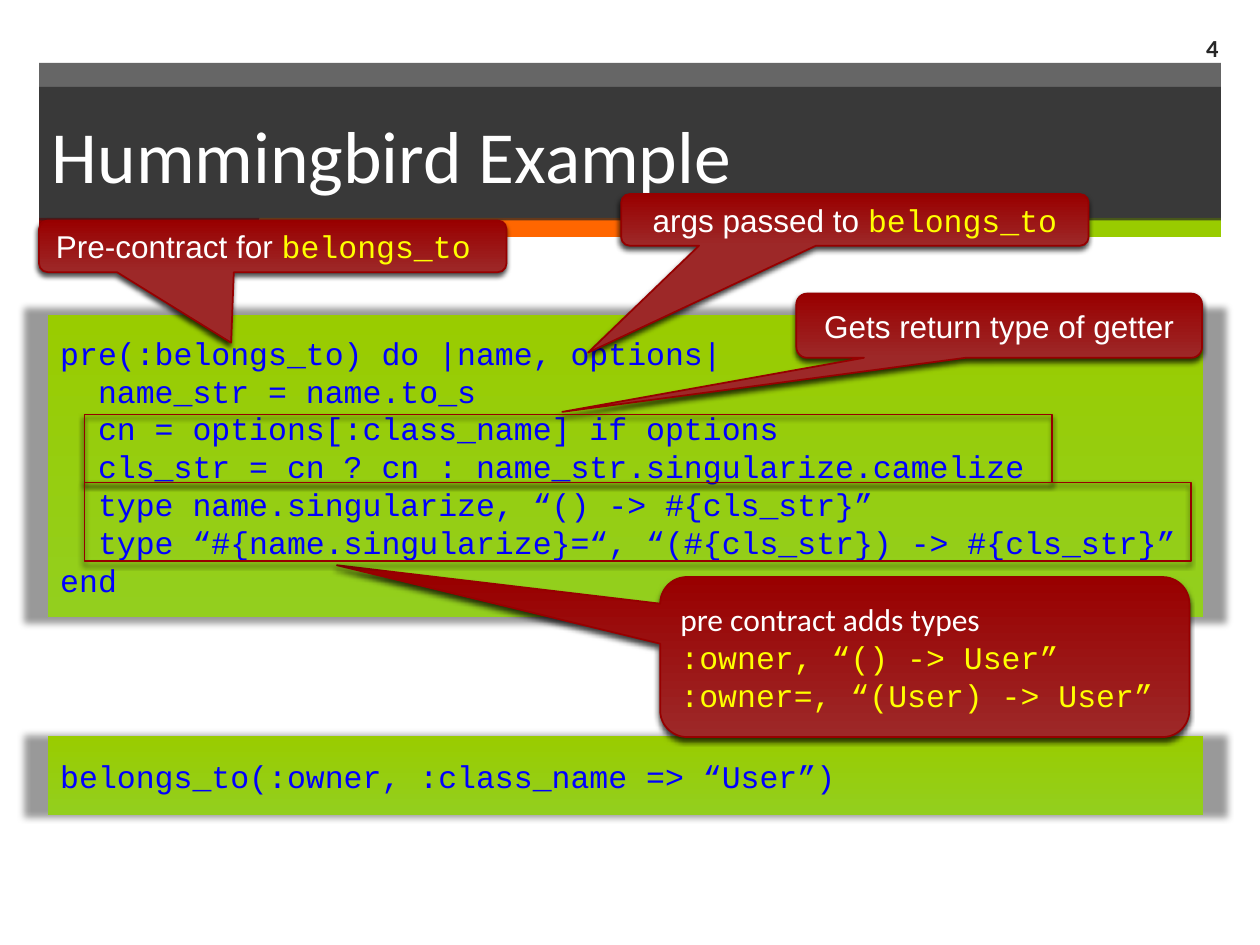
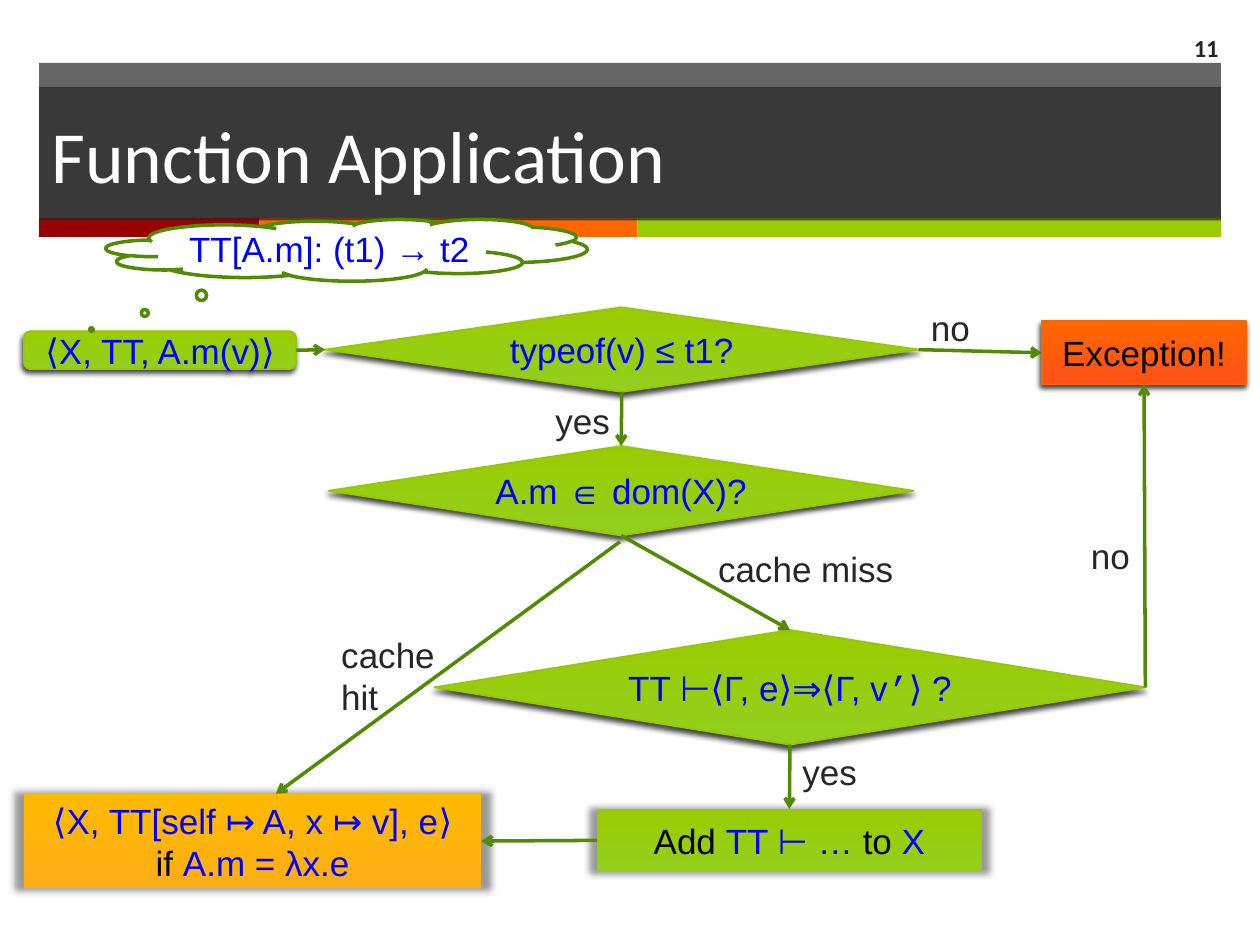
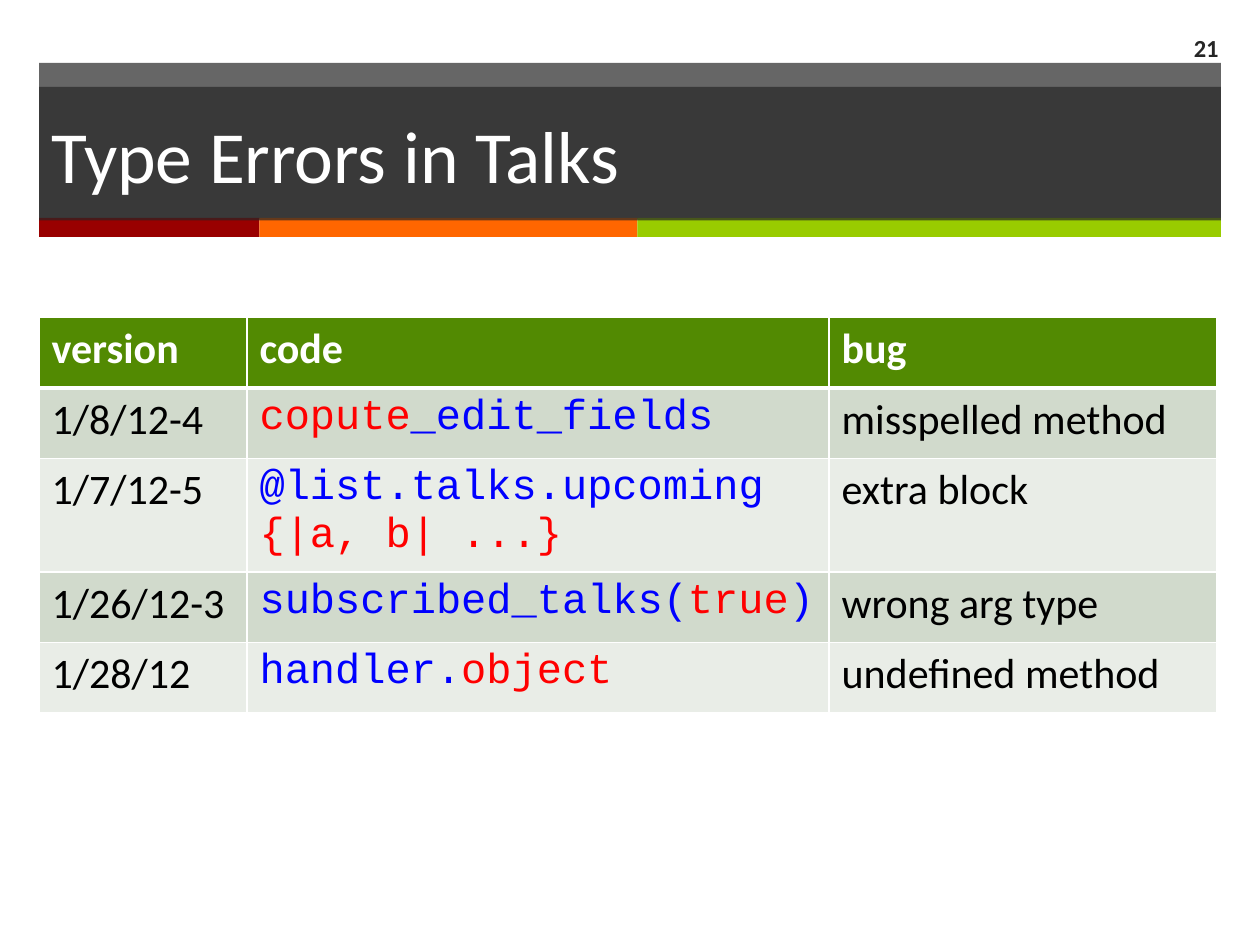
from lxml.etree import SubElement
from pptx import Presentation
from pptx.dml.color import RGBColor
from pptx.enum.shapes import MSO_CONNECTOR as Link, MSO_SHAPE as Shape
from pptx.enum.text import MSO_ANCHOR as Anchor, PP_ALIGN as Align
from pptx.oxml import parse_xml
from pptx.oxml.ns import nsdecls, qn
from pptx.util import Emu, Inches, Pt

WHITE = RGBColor(0xFF, 0xFF, 0xFF)
BLACK = RGBColor(0, 0, 0)
CHARCOAL = RGBColor(0x26, 0x26, 0x26)
BLUE = RGBColor(0, 0, 0xFF)
RED = RGBColor(0xFF, 0, 0)
YELLOW = RGBColor(0xFF, 0xFF, 0)
CRIMSON = RGBColor(0x99, 0, 0)
ORANGE = RGBColor(0xFF, 0x66, 0)
LIME = RGBColor(0x99, 0xCC, 0)
FOREST = RGBColor(0x52, 0x8A, 0x02)
CRIMSON_EDGE = RGBColor(0x96, 0, 0)
ORANGE_EDGE = RGBColor(0xF9, 0x64, 0)
LIME_EDGE = RGBColor(0x96, 0xC8, 0)
ROW_FILLS = (RGBColor(0xD1, 0xDA, 0xCC), RGBColor(0xE9, 0xED, 0xE7))

GREEN_FADE = (RGBColor(0x93, 0xCF, 0x1E), LIME)
RED_FADE = (RGBColor(0x9D, 0x28, 0x28), CRIMSON)
ORANGE_FADE = (RGBColor(0xFF, 0x52, 0x17), ORANGE)
AMBER_FADE = (RGBColor(0xFF, 0xAE, 0x17), RGBColor(0xFF, 0xBA, 0))

SANS, BODY, CODE = "Arial", "Calibri", "Courier New"
HALO = dict(alpha=40, blur=4, dist=0, angle=90, scale=104)
DROP = dict(alpha=75, blur=3, dist=2, angle=110, scale=100)
TOP, LEFT, BOTTOM, RIGHT = range(4)
CODE_INDENT = Inches(0.3)


def box(*lengths):
    """Turn inch values into lengths."""
    return [Inches(value) for value in lengths]


def write(frame, paragraphs, size, align=Align.LEFT, bold=False, before=None):
    """Fill a text frame with paragraphs of (text, font, colour) runs."""
    frame.word_wrap = True
    for index, runs in enumerate(paragraphs):
        paragraph = frame.add_paragraph() if index else frame.paragraphs[0]
        paragraph.alignment = align
        if before:
            paragraph.space_before = Pt(before)
        for text, font, colour in runs:
            run = paragraph.add_run()
            run.text = text
            run.font.name = font
            run.font.size = Pt(size)
            run.font.bold = bold
            run.font.color.rgb = colour


def cast_shadow(shape, alpha, blur, dist, angle, scale):
    """Give a shape a black outer shadow."""
    effects = shape.element.spPr.find(qn("a:effectLst"))
    shadow = SubElement(effects, qn("a:outerShdw"), blurRad=str(Pt(blur)), dist=str(Pt(dist)),
                        dir=str(angle * 60000), sx=str(scale * 1000), sy=str(scale * 1000),
                        algn="ctr", rotWithShape="0")
    black = SubElement(shadow, qn("a:srgbClr"), val="000000")
    SubElement(black, qn("a:alpha"), val=str(alpha * 1000))


def paint(shape, colour, opacity=100):
    """Fill a shape with one colour."""
    shape.fill.solid()
    shape.fill.fore_color.rgb = colour
    if opacity < 100:
        tint = shape.element.spPr.find(qn("a:solidFill")).find(qn("a:srgbClr"))
        SubElement(tint, qn("a:alpha"), val=str(opacity * 1000))


def add_block(slide, kind, at, fade=None, edge=None, shadow=None, edge_width=1, adjust=()):
    """Draw a preset shape with an optional fade, edge and shadow."""
    shape = slide.shapes.add_shape(kind, *box(*at))
    for index, value in enumerate(adjust):
        shape.adjustments[index] = value
    if fade:
        shape.fill.gradient()
        shape.fill.gradient_angle = 90
        for stop, colour in zip(shape.fill.gradient_stops, fade):
            stop.color.rgb = colour
    else:
        shape.fill.background()
    if edge is None:
        shape.line.fill.background()
    else:
        shape.line.color.rgb = edge
        shape.line.width = Pt(edge_width)
    shape.shadow.inherit = False
    if shadow:
        cast_shadow(shape, **shadow)
    return shape


def add_slide(deck, heading, number):
    """Start a slide with the shared bands, title and number."""
    slide = deck.slides.add_slide(deck.slide_layouts[5])
    paint(add_block(slide, Shape.RECTANGLE, (0.31, 0.5, 9.38, 1.24)), CHARCOAL, 70)
    left = 0.31
    for width, colour in ((1.75, CRIMSON), (3, ORANGE), (4.63, LIME)):
        paint(add_block(slide, Shape.RECTANGLE, (left, 1.73, width, 0.15)), colour)
        left += width

    title = slide.shapes.title
    title.element.getparent().append(title.element)
    title.left, title.top, title.width, title.height = box(0.31, 0.69, 9.38, 1.06)
    paint(title, CHARCOAL, 70)
    title.text_frame.vertical_anchor = Anchor.MIDDLE
    write(title.text_frame, [[(heading, BODY, WHITE)]], 42)

    page = slide.shapes.add_textbox(*box(9.08, 0.18, 0.69, 0.39)).text_frame
    page.vertical_anchor = Anchor.MIDDLE
    write(page, [[(str(number), BODY, CHARCOAL)]], 14, Align.RIGHT, bold=True)
    return slide


def add_code(slide, at, lines):
    """Draw a green panel of (indent level, code) lines."""
    panel = add_block(slide, Shape.RECTANGLE, at, GREEN_FADE, shadow=HALO)
    write(panel.text_frame, [[(code, CODE, BLUE)] for _, code in lines], 18)
    for paragraph, (level, _) in zip(panel.text_frame.paragraphs, lines):
        paragraph._p.get_or_add_pPr().set("marL", str(level * CODE_INDENT))


def add_callout(slide, at, pointer, paragraphs, align=Align.CENTER):
    """Draw a red speech callout."""
    callout = add_block(slide, Shape.ROUNDED_RECTANGULAR_CALLOUT, at, RED_FADE,
                        CRIMSON_EDGE, DROP, adjust=(*pointer, 0.167))
    write(callout.text_frame, paragraphs, 18, align)


def add_step(slide, kind, at, paragraphs, fade=GREEN_FADE, edge=None, shadow=DROP):
    """Draw a flowchart step with centred text."""
    step = add_block(slide, kind, at, fade, edge, shadow)
    write(step.text_frame, paragraphs, 20, Align.CENTER)
    if kind == Shape.DIAMOND:
        step.text_frame.word_wrap = False
    return step


def add_arrow(slide, start=(0, 0), end=(0, 0), source=None, target=None):
    """Draw an arrow between points, or between (step, side) pairs."""
    arrow = slide.shapes.add_connector(Link.STRAIGHT, *box(*start, *end))
    if source:
        arrow.begin_connect(*source)
    if target:
        arrow.end_connect(*target)
    arrow.line.color.rgb = FOREST
    arrow.line.width = Pt(2)
    SubElement(arrow.element.spPr.find(qn("a:ln")), qn("a:tailEnd"), type="arrow")
    SubElement(arrow.element.spPr, qn("a:effectLst"))


def border_cell(cell, bottom):
    """Rule a cell in white, with the bottom width given in points."""
    properties = cell._tc.get_or_add_tcPr()
    for index, (side, width) in enumerate((("L", 1), ("R", 1), ("T", 1), ("B", bottom))):
        properties.insert(index, parse_xml(
            f'<a:ln{side} {nsdecls("a")} w="{Pt(width)}"><a:solidFill>'
            f'<a:srgbClr val="{WHITE}"/></a:solidFill></a:ln{side}>'))


def build_example(deck):
    """Build the code example slide."""
    slide = add_slide(deck, "Hummingbird Example", 4)
    add_code(slide, (0.38, 5.84, 9.17, 0.63),
             [(0, "belongs_to(:owner, :class_name => “User”)")])
    add_code(slide, (0.38, 2.5, 9.17, 2.4), [
        (0, "pre(:belongs_to) do |name, options|"),
        (1, "name_str = name.to_s"),
        (1, "cn = options[:class_name] if options"),
        (1, "cls_str = cn ? cn : name_str.singularize.camelize"),
        (1, "type name.singularize, “() -> #{cls_str}”"),
        (1, "type “#{name.singularize}=“, “(#{cls_str}) -> #{cls_str}”"),
        (0, "end"),
    ])
    add_callout(slide, (5.24, 4.58, 4.2, 1.27), (-1.111, -0.574), [
        [("pre contract adds types", BODY, WHITE)],
        [(":owner, “() -> User”", CODE, YELLOW)],
        [(":owner=, “(User) -> User”", CODE, YELLOW)],
    ], Align.LEFT)
    add_callout(slide, (0.31, 1.75, 3.71, 0.41), (-0.089, 1.867),
                [[("Pre-contract for ", SANS, WHITE), ("belongs_to ", CODE, YELLOW)]])
    add_callout(slide, (4.93, 1.54, 3.71, 0.41), (-0.571, 2.572),
                [[("args passed to ", SANS, WHITE), ("belongs_to", CODE, YELLOW)]])
    add_callout(slide, (6.32, 2.33, 3.22, 0.51), (-1.077, 1.342),
                [[("Gets return type of getter", SANS, WHITE)]])
    for at in ((0.67, 3.29, 7.68, 0.54), (0.67, 3.83, 8.78, 0.62)):
        add_block(slide, Shape.RECTANGLE, at, edge=CRIMSON_EDGE, shadow=DROP)


def build_flowchart(deck):
    """Build the function application flowchart."""
    slide = add_slide(deck, "Function Application", 11)
    call = add_step(slide, Shape.ROUNDED_RECTANGLE, (0.19, 2.63, 2.16, 0.3),
                    [[("⟨X, TT, A.m(v)⟩", SANS, BLUE)]], edge=LIME_EDGE)
    argument_check = add_step(slide, Shape.DIAMOND, (2.58, 2.44, 4.71, 0.67),
                              [[("typeof(v) ≤ t1?", SANS, BLUE)]], edge=LIME_EDGE)
    evaluation = add_step(slide, Shape.RECTANGLE, (0.19, 6.3, 3.63, 0.75), [
        [("⟨X, TT[self ↦ A, x ↦ v], e⟩", SANS, BLUE)],
        [("if ", SANS, BLACK), ("A.m = λx.e", SANS, BLUE)],
    ], AMBER_FADE, shadow=HALO)
    cache_check = add_step(slide, Shape.DIAMOND, (2.61, 3.54, 4.64, 0.71),
                           [[("A.m ∈ dom(X)?", SANS, BLUE)]], edge=LIME_EDGE)
    failure = add_step(slide, Shape.RECTANGLE, (8.27, 2.55, 1.62, 0.5),
                       [[("Exception!", SANS, BLACK)]], ORANGE_FADE, ORANGE_EDGE)
    body_check = add_step(slide, Shape.DIAMOND, (3.45, 5, 5.64, 0.91), [
        [("TT ⊢⟨Γ, e⟩⇒⟨Γ, v", SANS, BLUE), ("’", CODE, BLUE), ("⟩ ?", SANS, BLUE)],
    ], edge=LIME_EDGE)
    cache_update = add_step(slide, Shape.RECTANGLE, (4.74, 6.42, 3.05, 0.5), [
        [("Add ", SANS, BLACK), ("TT ⊢ … ", SANS, BLUE), ("to ", SANS, BLACK), ("X", SANS, BLUE)],
    ], shadow=HALO)

    for source, target in (
        ((call, RIGHT), (argument_check, LEFT)),
        ((argument_check, BOTTOM), (cache_check, TOP)),
        ((argument_check, RIGHT), (failure, LEFT)),
        ((cache_check, BOTTOM), (body_check, TOP)),
        ((body_check, RIGHT), (failure, BOTTOM)),
        ((body_check, BOTTOM), (cache_update, TOP)),
        ((cache_update, LEFT), (evaluation, RIGHT)),
    ):
        add_arrow(slide, source=source, target=target)
    add_arrow(slide, (4.92, 4.3), (2.19, 6.3))

    for answer, at in (
        ("yes", (4.31, 3.12, 1.22, 0.43)),
        ("no", (7.29, 2.38, 1.22, 0.43)),
        ("no", (8.56, 4.19, 1.22, 0.43)),
        ("cache miss", (5.6, 4.3, 1.69, 0.43)),
        ("cache hit", (2.61, 4.98, 1.22, 0.62)),
        ("yes", (6.27, 5.91, 1.08, 0.47)),
    ):
        label = slide.shapes.add_textbox(*box(*at))
        write(label.text_frame, [[(answer, SANS, CHARCOAL)]], 20, before=20)

    thought = add_block(slide, Shape.CLOUD_CALLOUT, (0.84, 1.74, 3.82, 0.49),
                        edge=FOREST, edge_width=2, adjust=(-0.53, 1.287))
    paint(thought, WHITE)
    write(thought.text_frame, [[("TT[A.m]: (t1) → t2", SANS, BLUE)]], 20, Align.CENTER)


def build_errors(deck):
    """Build the table of type errors."""
    slide = add_slide(deck, "Type Errors in Talks", 21)
    errors = (
        ("1/8/12-4", [[("copute", CODE, RED), ("_edit_fields", CODE, BLUE)]], "misspelled method"),
        ("1/7/12-5", [[("@list.talks.upcoming", CODE, BLUE)], [("{|a, b| ...}", CODE, RED)]],
         "extra block"),
        ("1/26/12-3", [[("subscribed_talks(", CODE, BLUE), ("true", CODE, RED), (")", CODE, BLUE)]],
         "wrong arg type"),
        ("1/28/12", [[("handler.", CODE, BLUE), ("object", CODE, RED)]], "undefined method"),
    )
    rows = [[[[(name, BODY, WHITE)]] for name in ("version", "code", "bug")]]
    rows += [([[(version, BODY, BLACK)]], code, [[(bug, BODY, BLACK)]])
             for version, code, bug in errors]

    row_height = Inches(0.56)
    table = slide.shapes.add_table(len(rows), 3, *box(0.31, 2.52, 9.36),
                                   Emu(row_height * len(rows))).table
    for column, width in zip(table.columns, box(1.65, 4.62, 3.08)):
        column.width = width
    for index, row in enumerate(rows):
        table.rows[index].height = row_height
        header = index == 0
        for cell, paragraphs in zip(table.rows[index].cells, row):
            cell.fill.solid()
            cell.fill.fore_color.rgb = FOREST if header else ROW_FILLS[(index - 1) % 2]
            border_cell(cell, 3 if header else 1)
            write(cell.text_frame, paragraphs, 24, bold=header)


def main():
    """Build and save the deck."""
    deck = Presentation()
    deck.slide_width, deck.slide_height = box(10, 7.5)
    build_example(deck)
    build_flowchart(deck)
    build_errors(deck)
    deck.save("out.pptx")


main()
